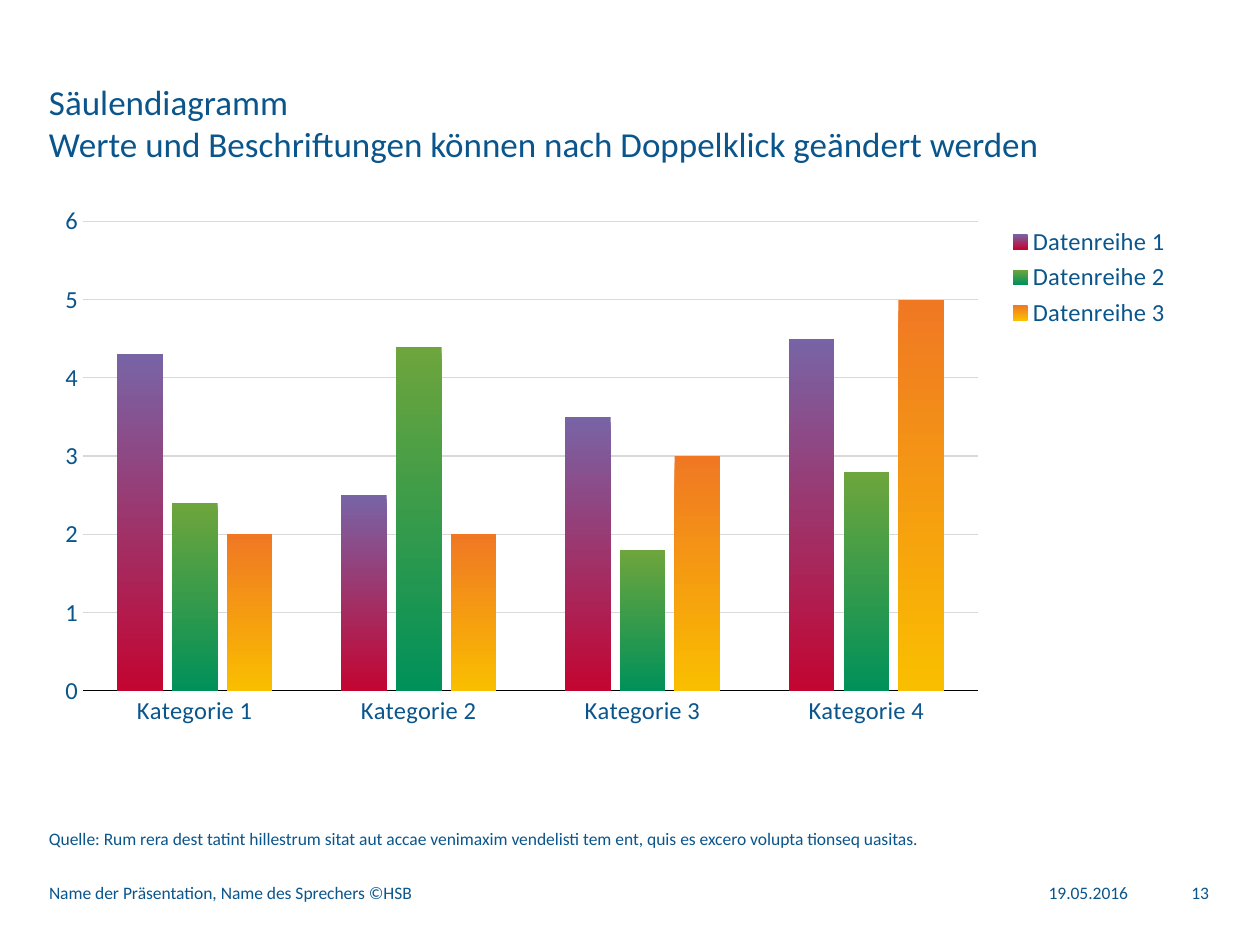
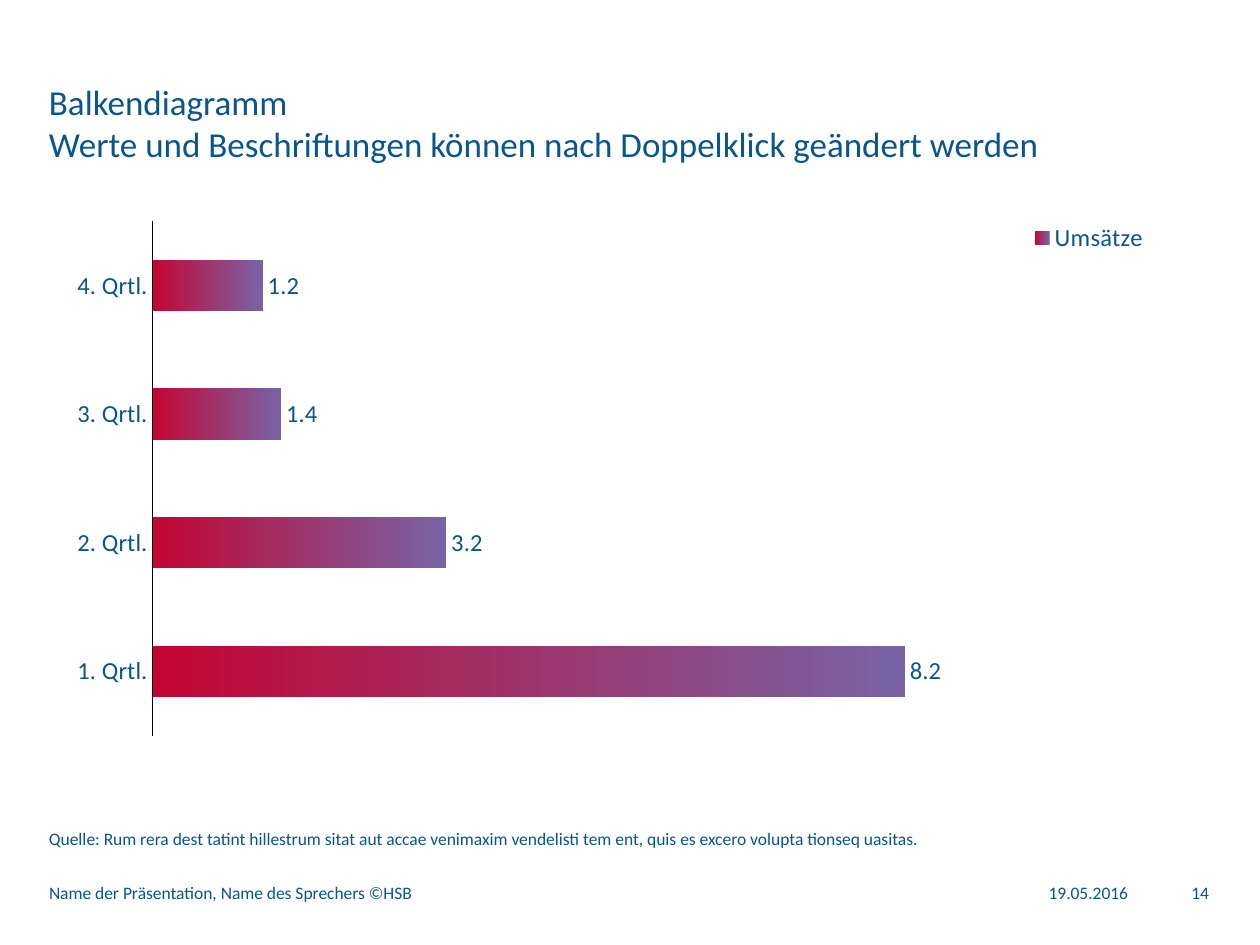
from dataclasses import dataclass

from lxml.etree import SubElement
from pptx import Presentation
from pptx.chart.data import CategoryChartData
from pptx.dml.color import RGBColor
from pptx.enum.chart import (XL_CHART_TYPE, XL_LABEL_POSITION,
                             XL_LEGEND_POSITION, XL_TICK_MARK)
from pptx.enum.text import MSO_ANCHOR, PP_ALIGN
from pptx.oxml.ns import qn
from pptx.util import Emu, Pt


@dataclass(frozen=True)
class Theme:
    font: str = "Calibri"
    text: str = "0A558C"
    axis: str = "000000"
    grid: str = "D9D9D9"
    violet: str = "7864A5"
    red: str = "C30532"
    leaf: str = "6EA53C"
    green: str = "00915A"
    orange: str = "F07823"
    yellow: str = "FABE00"
    title_size: int = 20
    chart_size: int = 14
    small_size: int = 10
    line_width: float = 0.75


THEME = Theme()
EMU_PER_PX = 914400 / 126
MARGIN = 49
CHART_BOX = (48, 199, 1163, 559)
DOWN, RIGHTWARD = 270, 0

SUBTITLE = "Werte und Beschriftungen können nach Doppelklick geändert werden"
SOURCE = ("Quelle: Rum rera dest tatint hillestrum sitat aut accae venimaxim "
          "vendelisti tem ent, quis es excero volupta tionseq uasitas.")
FOOTER = "Name der Präsentation, Name des Sprechers ©HSB"
DATE = "19.05.2016"


def px(n):
    return Emu(round(n * EMU_PER_PX))


def rgb(color):
    return RGBColor.from_string(color)


def style_font(font, size):
    font.name = THEME.font
    font.size = Pt(size)
    font.color.rgb = rgb(THEME.text)


def add_text(s, box, lines, size=THEME.small_size,
             anchor=MSO_ANCHOR.MIDDLE, align=PP_ALIGN.LEFT):
    tf = s.shapes.add_textbox(*map(px, box)).text_frame
    tf.word_wrap = True
    tf.margin_left = tf.margin_top = tf.margin_right = tf.margin_bottom = 0
    tf.vertical_anchor = anchor
    p = tf.paragraphs[0]
    p.alignment = align
    for i, line in enumerate(lines):
        if i:
            p.add_line_break()
        r = p.add_run()
        r.text = line
        style_font(r.font, size)


def add_frame(s, heading, number):
    add_text(s, (MARGIN, 81, 1160, 84), [heading, SUBTITLE],
             THEME.title_size, MSO_ANCHOR.TOP)
    add_text(s, (MARGIN, 824, 1162, 25), [SOURCE], anchor=MSO_ANCHOR.BOTTOM)
    add_text(s, (1022, 881, 106, 23), [DATE], align=PP_ALIGN.RIGHT)
    add_text(s, (MARGIN, 881, 937, 23), [FOOTER])
    add_text(s, (1155, 881, 54, 23), [str(number)], align=PP_ALIGN.RIGHT)


def set_layout(parent, index, box, inner=False):
    for old in parent.findall(qn("c:layout")):
        parent.remove(old)
    layout = parent.makeelement(qn("c:layout"), {})
    parent.insert(index, layout)
    manual = SubElement(layout, qn("c:manualLayout"))
    settings = [("layoutTarget", "inner")] if inner else []
    settings += [("xMode", "edge"), ("yMode", "edge")]
    settings += zip("xywh", box)
    for tag, value in settings:
        SubElement(manual, qn(f"c:{tag}")).set("val", str(value))


def style_line(line, color):
    line.color.rgb = rgb(color)
    line.width = Pt(THEME.line_width)


def fill_gradient(fill, colors, angle):
    fill.gradient()
    fill.gradient_angle = angle
    for stop, color in zip(fill.gradient_stops, colors):
        stop.color.rgb = rgb(color)


def add_bar_chart(s, kind, cats, series, angle, top, plot_box, legend_box):
    data = CategoryChartData()
    data.categories = cats
    for name, values, _ in series:
        data.add_series(name, values)
    chart = s.shapes.add_chart(kind, *map(px, CHART_BOX), data).chart
    chart.has_title = False
    style_font(chart.font, THEME.chart_size)
    set_layout(chart.plots[0]._element.getparent(), 0, plot_box, inner=True)

    chart.has_legend = True
    legend = chart.legend
    legend.position = XL_LEGEND_POSITION.RIGHT
    legend.include_in_layout = False
    style_font(legend.font, THEME.chart_size)
    set_layout(legend._element, 1, legend_box)

    for axis in (chart.category_axis, chart.value_axis):
        axis.major_tick_mark = axis.minor_tick_mark = XL_TICK_MARK.NONE
    style_line(chart.category_axis.format.line, THEME.axis)
    axis = chart.value_axis
    axis.minimum_scale, axis.maximum_scale, axis.major_unit = 0, top, 1
    axis.has_major_gridlines = False
    axis.format.line.fill.background()

    plot = chart.plots[0]
    plot.vary_by_categories = False
    plot.gap_width = 150
    for ser, (_, _, colors) in zip(plot.series, series):
        fill_gradient(ser.format.fill, colors, angle)
        ser.invert_if_negative = False
    return chart


def add_column_slide(s):
    add_frame(s, "Säulendiagramm", 13)
    series = [
        ("Datenreihe 1", (4.3, 2.5, 3.5, 4.5), (THEME.violet, THEME.red)),
        ("Datenreihe 2", (2.4, 4.4, 1.8, 2.8), (THEME.leaf, THEME.green)),
        ("Datenreihe 3", (2, 2, 3, 5), (THEME.orange, THEME.yellow)),
    ]
    chart = add_bar_chart(
        s, XL_CHART_TYPE.COLUMN_CLUSTERED,
        [f"Kategorie {i}" for i in range(1, 5)], series, DOWN, 6,
        (0.03, 0.04, 0.77, 0.84), (0.82, 0.04, 0.15, 0.2))
    chart.plots[0].overlap = -20
    axis = chart.value_axis
    axis.has_major_gridlines = True
    style_line(axis.major_gridlines.format.line, THEME.grid)


def add_bar_slide(s):
    add_frame(s, "Balkendiagramm", 14)
    series = [("Umsätze", (8.2, 3.2, 1.4, 1.2), (THEME.red, THEME.violet))]
    chart = add_bar_chart(
        s, XL_CHART_TYPE.BAR_CLUSTERED,
        [f"{i}. Qrtl." for i in range(1, 5)], series, RIGHTWARD, 9,
        (0.09, 0.04, 0.71, 0.92), (0.82, 0.04, 0.15, 0.06))
    chart.value_axis.visible = False
    plot = chart.plots[0]
    plot.has_data_labels = True
    labels = plot.data_labels
    labels.show_value = True
    labels.position = XL_LABEL_POSITION.OUTSIDE_END
    style_font(labels.font, THEME.chart_size)


def main():
    prs = Presentation()
    prs.slide_width, prs.slide_height = px(1260), px(945)
    for build in (add_column_slide, add_bar_slide):
        build(prs.slides.add_slide(prs.slide_layouts[6]))
    prs.save("out.pptx")


if __name__ == "__main__":
    main()
